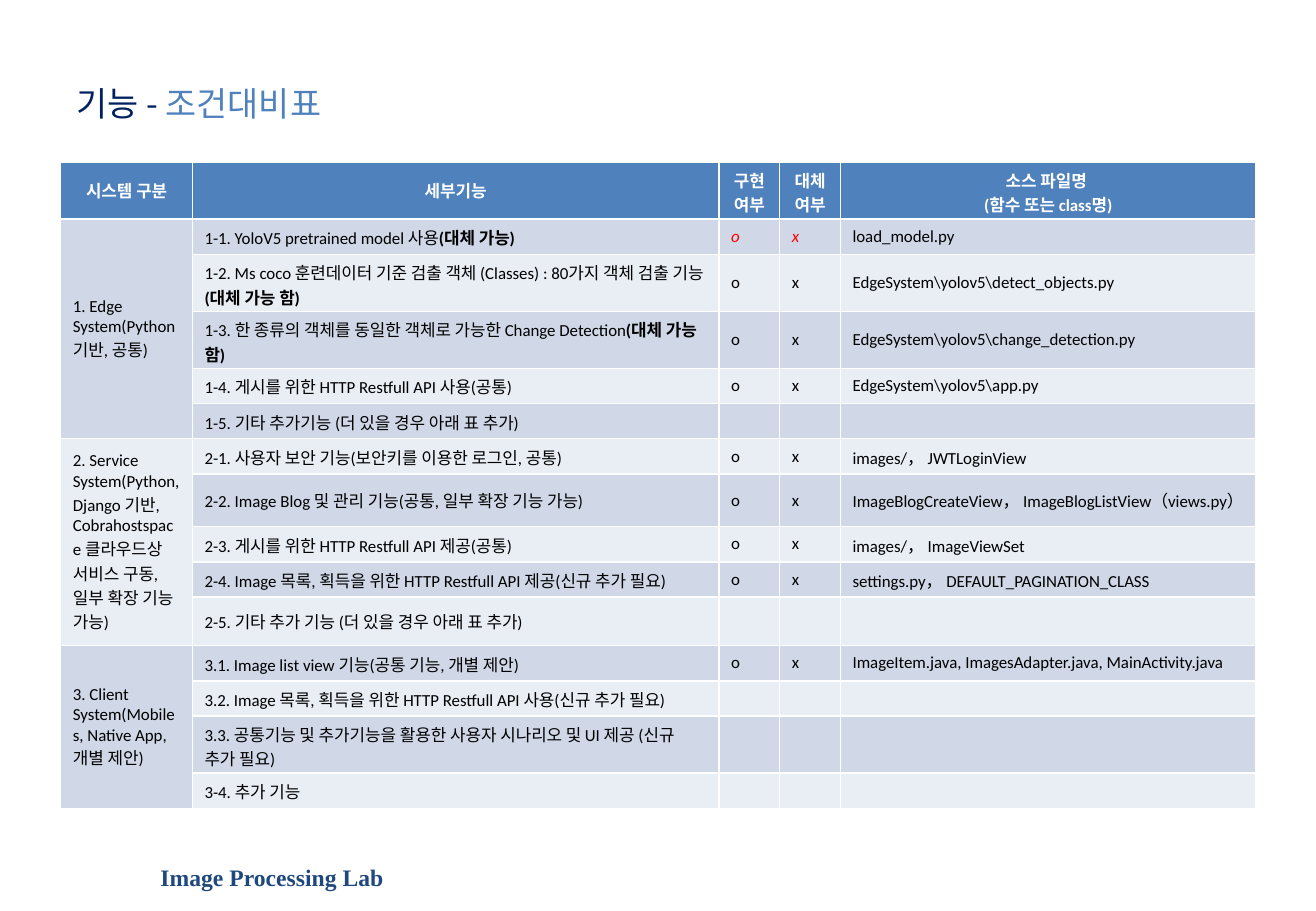
from dataclasses import dataclass

from pptx import Presentation
from pptx.dml.color import RGBColor
from pptx.enum.text import MSO_ANCHOR, MSO_AUTO_SIZE, PP_ALIGN
from pptx.slide import Slide
from pptx.table import Table, _Cell
from pptx.text.text import Font, TextFrame
from pptx.util import Pt

MIDDLE = MSO_ANCHOR.MIDDLE
GROW = MSO_AUTO_SIZE.SHAPE_TO_FIT_TEXT
LEFT, CENTER = PP_ALIGN.LEFT, PP_ALIGN.CENTER

COLORS = {
    "navy": "002060", "blue": "4F81BD", "footer": "1F497D", "white": "FFFFFF",
    "black": "000000", "red": "FF0000", "dark_band": "D0D8E8", "light_band": "E9EDF4",
}
COLUMN_WIDTHS = (78, 312, 36, 36, 246.24)
ONE_LINE, TWO_LINES, SPACIOUS = 20.88, 33.84, 28.8
HEADERS = ("시스템 구분", "세부기능", "구현 여부", "대체 여부", "소스 파일명 \n(함수 또는 class명)")


@dataclass(frozen=True)
class Feature:
    text: str
    source: str = ""
    emphasis: str = ""
    height: float = ONE_LINE
    flagged: bool = False


@dataclass(frozen=True)
class System:
    name: str
    features: tuple[Feature, ...]


SYSTEMS = (
    System("1. Edge System(Python 기반, 공통)", (
        Feature("1-1. YoloV5 pretrained model 사용", "load_model.py", "(대체 가능)", flagged=True),
        Feature("1-2. Ms coco 훈련데이터 기준 검출 객체 (Classes) : 80가지 객체 검출 기능",
                "EdgeSystem\\yolov5\\detect_objects.py", "(대체 가능 함)", TWO_LINES),
        Feature("1-3. 한 종류의 객체를 동일한 객체로 가능한 Change Detection",
                "EdgeSystem\\yolov5\\change_detection.py", "(대체 가능 함)", TWO_LINES),
        Feature("1-4. 게시를 위한 HTTP Restfull API 사용(공통)", "EdgeSystem\\yolov5\\app.py"),
        Feature("1-5. 기타 추가기능 (더 있을 경우 아래 표 추가)"),
    )),
    System("2. Service System(Python, Django 기반, Cobrahostspace 클라우드상 서비스 구동, 일부 확장 기능 가능)", (
        Feature("2-1. 사용자 보안 기능(보안키를 이용한 로그인, 공통)", "images/， JWTLoginView"),
        Feature("2-2. Image Blog 및 관리 기능(공통, 일부 확장 기능 가능)",
                "ImageBlogCreateView， ImageBlogListView（views.py）"),
        Feature("2-3. 게시를 위한 HTTP Restfull API 제공(공통)", "images/， ImageViewSet"),
        Feature("2-4. Image 목록, 획득을 위한 HTTP Restfull API 제공(신규 추가 필요)",
                "settings.py， DEFAULT_PAGINATION_CLASS"),
        Feature("2-5. 기타 추가 기능 (더 있을 경우 아래 표 추가)", height=SPACIOUS),
    )),
    System("3. Client System(Mobiles, Native App, 개별 제안)", (
        Feature("3.1. Image list view 기능(공통 기능, 개별 제안)",
                "ImageItem.java, ImagesAdapter.java, MainActivity.java"),
        Feature("3.2. Image 목록, 획득을 위한 HTTP Restfull API 사용(신규 추가 필요)"),
        Feature("3.3. 공통기능 및 추가기능을 활용한 사용자 시나리오 및 UI 제공 (신규 추가 필요)",
                height=TWO_LINES),
        Feature("3-4. 추가 기능"),
    )),
)


def style_font(font: Font, name: str, size: float, color: str, bold: bool = False) -> None:
    """Set the typeface, size, colour and weight of a font."""
    font.name, font.size, font.bold = name, Pt(size), bold
    font.color.rgb = RGBColor.from_string(COLORS[color])


def set_frame(frame: TextFrame) -> None:
    """Give a text frame tight margins and let its shape grow."""
    frame.margin_left = frame.margin_right = frame.margin_bottom = 0
    frame.margin_top = Pt(1)
    frame.word_wrap = True
    frame.auto_size = GROW


def fill_cell(cell: _Cell, text: str, fill: str, color: str = "black",
              bold: bool = False, italic: bool = False) -> None:
    """Write and format one table cell."""
    cell.fill.solid()
    cell.fill.fore_color.rgb = RGBColor.from_string(COLORS[fill])
    cell.vertical_anchor = MIDDLE
    cell.text_frame.text = text
    for paragraph in cell.text_frame.paragraphs:
        paragraph.alignment = CENTER if bold else LEFT
        style_font(paragraph.font, "Calibri", 10, color, bold)
        paragraph.font.italic = italic
        if not text:
            paragraph._p.get_or_add_endParaRPr().set("sz", "1000")


def fill_feature(table: Table, row: int, system_name: str, feature: Feature) -> None:
    """Fill one row of the table with a feature."""
    band = "dark_band" if row % 2 else "light_band"
    table.rows[row].height = Pt(feature.height)
    flags = ("o", "x") if feature.source else ("", "")
    for column, text in enumerate((system_name, feature.text, *flags, feature.source)):
        marked = feature.flagged and column in (2, 3)
        fill_cell(table.cell(row, column), text, band, "red" if marked else "black", italic=marked)
    if feature.emphasis:
        run = table.cell(row, 1).text_frame.paragraphs[0].add_run()
        run.text, run.font.bold = feature.emphasis, True


def add_title(slide: Slide) -> None:
    """Write the two-coloured title."""
    title = slide.shapes.title
    title.left, title.top, title.width, title.height = Pt(45.36), Pt(48.24), Pt(537.12), Pt(25.2)
    set_frame(title.text_frame)
    title.text_frame.vertical_anchor = MIDDLE
    paragraph = title.text_frame.paragraphs[0]
    paragraph.alignment = LEFT
    for text, color in (("기능 - ", "navy"), ("조건대비표", "blue")):
        run = paragraph.add_run()
        run.text = text
        style_font(run.font, "Noto Sans CJK KR", 20, color)


def add_feature_table(slide: Slide) -> None:
    """Draw the table of systems and their features."""
    row_count = 1 + sum(len(system.features) for system in SYSTEMS)
    table = slide.shapes.add_table(row_count, len(HEADERS), Pt(36), Pt(96),
                                   Pt(sum(COLUMN_WIDTHS)), Pt(372.24)).table
    for column, (width, header) in enumerate(zip(COLUMN_WIDTHS, HEADERS)):
        table.columns[column].width = Pt(width)
        fill_cell(table.cell(0, column), header, "blue", "white", bold=True)
    table.rows[0].height = Pt(TWO_LINES)
    row = 1
    for system in SYSTEMS:
        first_row = row
        for feature in system.features:
            fill_feature(table, row, system.name if row == first_row else "", feature)
            row += 1
        table.cell(first_row, 0).merge(table.cell(row - 1, 0))


def add_footer(slide: Slide) -> None:
    """Write the name of the laboratory at the foot of the slide."""
    footer = slide.shapes.add_textbox(Pt(95.04), Pt(510.48), Pt(134.64), Pt(18.72))
    set_frame(footer.text_frame)
    paragraph = footer.text_frame.paragraphs[0]
    paragraph.text = "Image Processing Lab"
    style_font(paragraph.font, "Times New Roman", 14, "footer", bold=True)


def main() -> None:
    """Build the slide and save the presentation."""
    presentation = Presentation()
    presentation.slide_width, presentation.slide_height = Pt(779.76), Pt(540)
    slide = presentation.slides.add_slide(presentation.slide_layouts[5])
    add_footer(slide)
    add_title(slide)
    add_feature_table(slide)
    presentation.save("out.pptx")


if __name__ == "__main__":
    main()
